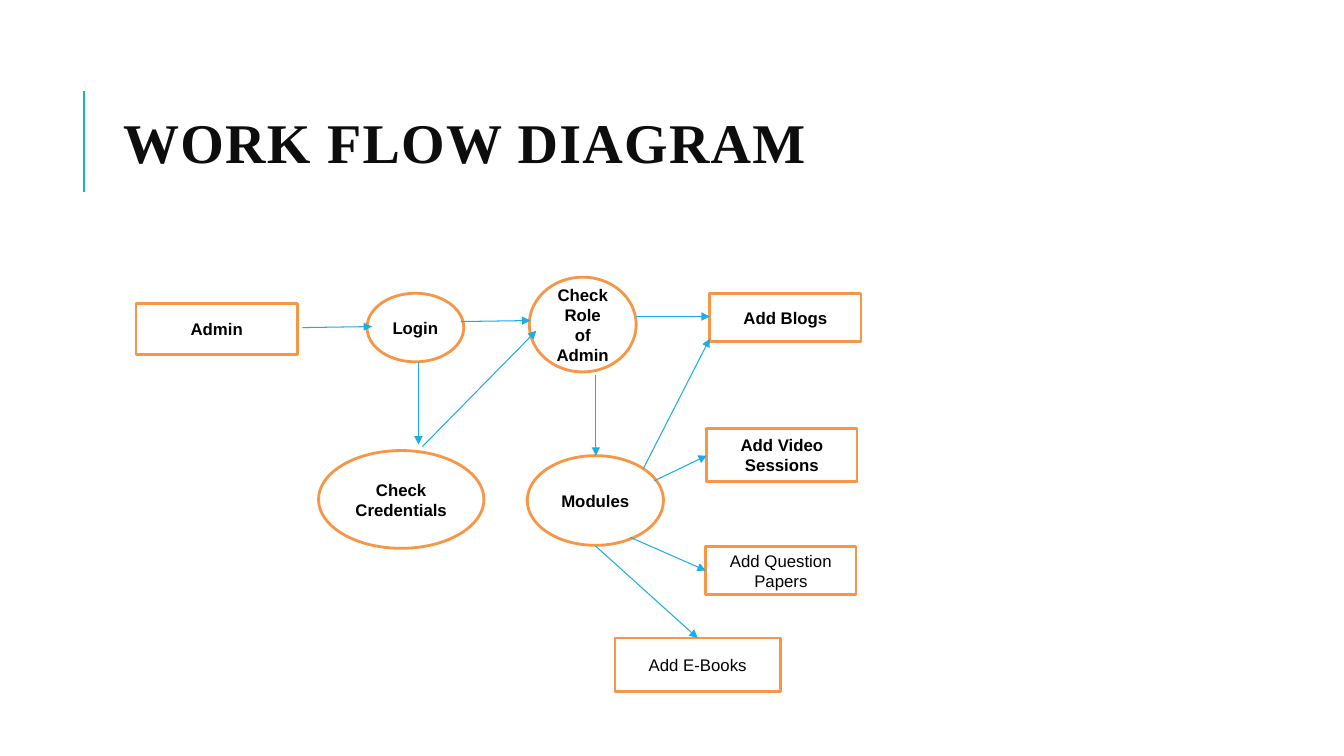
from dataclasses import dataclass

from lxml import etree
from pptx import Presentation
from pptx.dml.color import RGBColor
from pptx.enum.shapes import MSO_CONNECTOR, MSO_SHAPE
from pptx.enum.text import MSO_ANCHOR, MSO_AUTO_SIZE, PP_ALIGN
from pptx.oxml.ns import qn
from pptx.util import Inches, Pt

RECT, OVAL = MSO_SHAPE.RECTANGLE, MSO_SHAPE.OVAL
LINE = MSO_CONNECTOR.STRAIGHT
MIDDLE = MSO_ANCHOR.MIDDLE
LEFT, CENTER = PP_ALIGN.LEFT, PP_ALIGN.CENTER
NO_FIT = MSO_AUTO_SIZE.NONE


@dataclass(frozen=True)
class Theme:
    """Hold the colours, fonts and sizes of the slide."""
    blue: RGBColor = RGBColor.from_string("1CADE4")
    orange: RGBColor = RGBColor.from_string("F79646")
    white: RGBColor = RGBColor.from_string("FFFFFF")
    black: RGBColor = RGBColor.from_string("000000")
    ink: RGBColor = RGBColor.from_string("0D0D0D")
    serif: str = "Times New Roman"
    sans: str = "Arial"
    head: Pt = Pt(40)
    body: Pt = Pt(12)
    rule: Pt = Pt(1.5)
    edge: Pt = Pt(2)
    thin: Pt = Pt(0.75)


THEME = Theme()

NODES = [
    ("Admin", RECT, True, (0, 0.26, 1.6, 0.51)),
    ("Login", OVAL, True, (2.29, 0.16, 0.96, 0.68)),
    ("Check\nCredentials", OVAL, True, (1.81, 1.72, 1.64, 0.97)),
    ("Check Role of Admin", OVAL, True, (3.9, 0, 1.06, 0.94)),
    ("Modules", OVAL, True, (3.88, 1.77, 1.35, 0.89)),
    ("Add Blogs", RECT, True, (5.69, 0.16, 1.5, 0.48)),
    ("Add Video Sessions", RECT, True, (5.66, 1.5, 1.49, 0.53)),
    ("Add Question Papers", RECT, False, (5.65, 2.67, 1.49, 0.48)),
    ("Add E-Books", RECT, False, (4.75, 3.58, 1.64, 0.53)),
]

ARROWS = [
    ((1.65, 0.5), (2.34, 0.49)),
    ((3.22, 0.44), (3.91, 0.43)),
    ((2.8, 0.84), (2.8, 1.66)),
    ((2.84, 1.68), (3.97, 0.53)),
    ((4.96, 0.39), (5.69, 0.39)),
    ((4.56, 0.97), (4.56, 1.77)),
    ((5.03, 1.9), (5.69, 0.61)),
    ((5.14, 2.02), (5.66, 1.77)),
    ((4.9, 2.58), (5.65, 2.91)),
    ((4.56, 2.67), (5.57, 3.58)),
]


def style(font, name, size, color, bold):
    """Set the look of a font."""
    font.name, font.size, font.bold = name, size, bold
    font.color.rgb = color


def add_line(slide, start, end, width, arrow=False):
    """Draw a blue line, with an arrowhead at its end if asked."""
    line = slide.shapes.add_connector(LINE, *map(Inches, start + end))
    line.line.color.rgb = THEME.blue
    line.line.width = width
    if arrow:
        ln = line.line._get_or_add_ln()
        etree.SubElement(ln, qn("a:tailEnd"), type="triangle")
    etree.SubElement(line._element.spPr, qn("a:effectLst"))


def add_node(slide, text, kind, bold, box):
    """Draw one outlined step with its centred label."""
    node = slide.shapes.add_shape(kind, *map(Inches, box))
    node.shadow.inherit = False
    node.fill.solid()
    node.fill.fore_color.rgb = THEME.white
    node.line.color.rgb = THEME.orange
    node.line.width = THEME.edge
    frame = node.text_frame
    frame.text = text
    frame.word_wrap = True
    frame.vertical_anchor = MIDDLE
    for para in frame.paragraphs:
        para.alignment = CENTER
        for run in para.runs:
            style(run.font, THEME.sans, THEME.body, THEME.black, bold)


def add_title(slide, box):
    """Place the title in its box, with the rule to its left."""
    left, top, width, height = box
    x = left - 0.29
    add_line(slide, (x, top + 1.26), (x, top + 0.26), THEME.rule)
    title = slide.shapes.title
    title.left, title.top, title.width, title.height = map(Inches, box)
    frame = title.text_frame
    frame.text = "WORK FLOW DIAGRAM"
    frame.word_wrap = True
    frame.auto_size = NO_FIT
    frame.vertical_anchor = MIDDLE
    para = frame.paragraphs[0]
    para.alignment = LEFT
    para.line_spacing = 0.8
    font = para.runs[0].font
    style(font, THEME.serif, THEME.head, THEME.ink, True)
    font._element.set("spc", "100")


def add_flow(slide, left, top):
    """Draw the steps and arrows from the given corner."""
    for text, kind, bold, (x, y, width, height) in NODES:
        add_node(slide, text, kind, bold, (left + x, top + y, width, height))
    for ends in ARROWS:
        start, end = [(left + x, top + y) for x, y in ends]
        add_line(slide, start, end, THEME.thin, arrow=True)


def main():
    """Build and save the slide."""
    deck = Presentation()
    deck.slide_width, deck.slide_height = Inches(13.33), Inches(7.5)
    slide = deck.slides.add_slide(deck.slide_layouts[5])
    slide.background.fill.solid()
    slide.background.fill.fore_color.rgb = THEME.white
    add_title(slide, (1.12, 0.64, 10.63, 1.64))
    add_flow(slide, 1.35, 2.75)
    deck.save("out.pptx")


if __name__ == "__main__":
    main()
